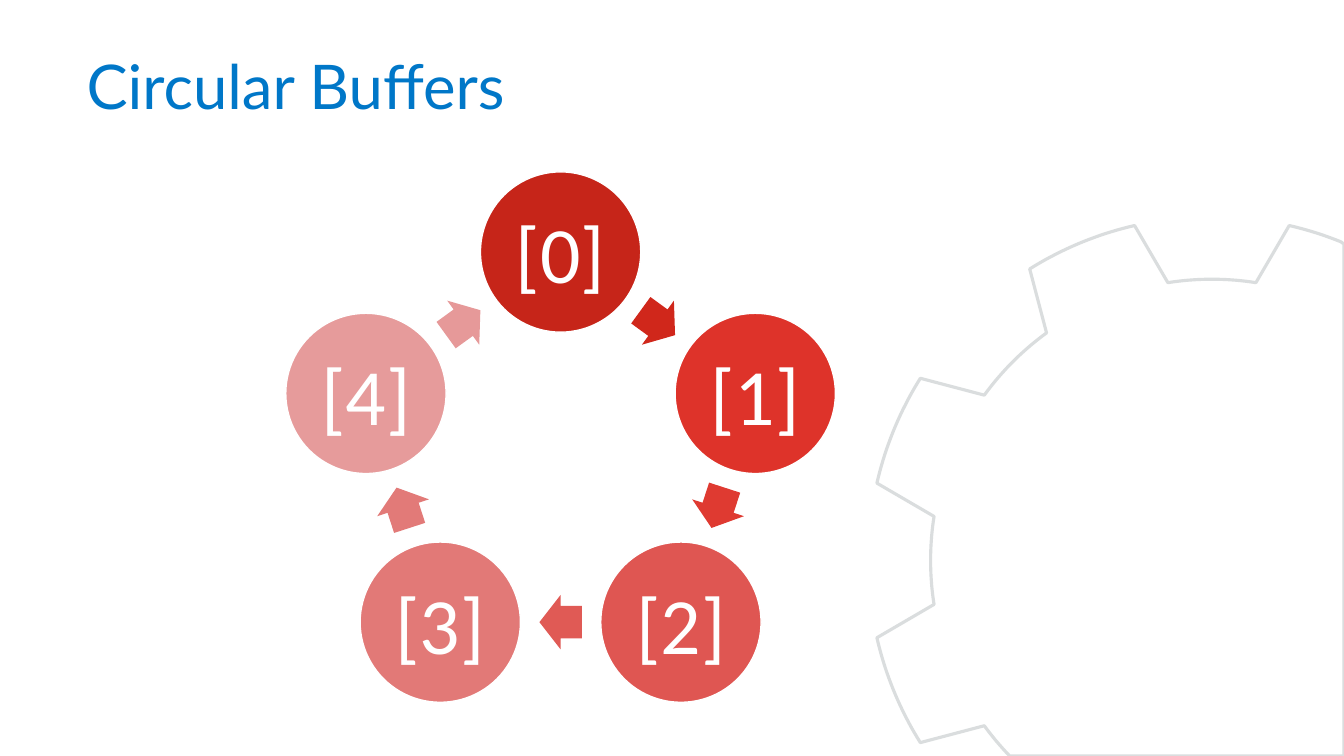
from math import cos, sin, radians
from pptx import Presentation as Deck
from pptx.dml.color import RGBColor as Rgb
from pptx.enum.shapes import MSO_SHAPE as Kind
from pptx.enum.text import MSO_ANCHOR as Anchor, PP_ALIGN as Align
from pptx.util import Inches, Pt

WIDE, HIGH = 13.33, 7.5
COLORS = {"white": "FFFFFF", "title": "0077C8", "gear": "DADDDE"}
STEPS = [
    ("[0]", "C62519", "D0271B"),
    ("[1]", "DE332A", "DF3A31"),
    ("[2]", "DF5652", "E05A55"),
    ("[3]", "E27977", "E27A78"),
    ("[4]", "E69B9B", "E69999"),
]


def polar(mid, radius, turn):
    angle = radians(turn)
    return mid[0] + radius * sin(angle), mid[1] - radius * cos(angle)


class Painter:
    def __init__(self, slide):
        self.shapes = slide.shapes

    def color(self, name):
        return Rgb.from_string(COLORS.get(name, name))

    def paint(self, shape, fill, line=None, width=1):
        shape.shadow.inherit = False
        shape.fill.solid()
        shape.fill.fore_color.rgb = self.color(fill)
        if line:
            shape.line.color.rgb = self.color(line)
            shape.line.width = Pt(width)
        else:
            shape.line.fill.background()

    def label(self, shape, text, font, size, color, align):
        frame = shape.text_frame
        frame.text = text
        frame.vertical_anchor = Anchor.MIDDLE
        par = frame.paragraphs[0]
        par.alignment = align
        style = par.runs[0].font
        style.name, style.size = font, Pt(size)
        style.color.rgb = self.color(color)
        return frame

    def title(self, text, left, top, width, height):
        box = self.shapes.add_textbox(*map(Inches, (left, top, width, height)))
        frame = self.label(box, text, "Lato", 44, "title", Align.LEFT)
        frame.word_wrap = True
        frame.paragraphs[0].line_spacing = 0.9

    def center(self, kind, mid, width, height):
        left, top = mid[0] - width / 2, mid[1] - height / 2
        return self.shapes.add_shape(kind, *map(Inches, (left, top, width, height)))

    def disc(self, mid, size, fill, text):
        shape = self.center(Kind.OVAL, mid, size, size)
        self.paint(shape, fill, "white")
        frame = self.label(shape, text, "Calibri", 57, "white", Align.CENTER)
        frame.word_wrap = False
        frame.margin_left = frame.margin_right = Inches(0.08)
        frame.margin_top = frame.margin_bottom = Inches(0.08)

    def arrow(self, mid, turn, fill):
        shape = self.center(Kind.RIGHT_ARROW, mid, 0.42, 0.54)
        shape.adjustments[0], shape.adjustments[1] = 0.6, 0.5
        shape.rotation = turn
        self.paint(shape, fill)

    def gear(self, mid, root, tip, teeth):
        pitch = 360 / teeth
        points = []
        for tooth in range(teeth):
            start = tooth * pitch
            arcs = [(root, start - 9, start + 9), (tip, start + 13, start + 32)]
            for radius, first, last in arcs:
                for turn in range(int(first), int(last) + 1):
                    x, y = polar(mid, radius, turn)
                    points.append((Inches(min(x, WIDE)), Inches(min(y, HIGH))))
        outline = self.shapes.build_freeform(*points[0])
        outline.add_line_segments(points[1:], close=True)
        self.paint(outline.convert_to_shape(), "white", "gear", 2.25)


def main():
    deck = Deck()
    deck.slide_width, deck.slide_height = Inches(WIDE), Inches(HIGH)
    pen = Painter(deck.slides.add_slide(deck.slide_layouts[6]))
    pen.gear((12.02, 5.56), 2.79, 3.41, 8)
    pen.title("Circular Buffers", 0.76, 0.24, 11.81, 1.3)

    hub, radius = (5.56, 4.53), 2.03
    pitch = 360 / len(STEPS)
    chord = radius * cos(radians(pitch / 2))
    for index, (name, fill, tint) in enumerate(STEPS):
        turn = index * pitch
        half = turn + pitch / 2
        pen.disc(polar(hub, radius, turn), 1.59, fill, name)
        pen.arrow(polar(hub, chord, half), half, tint)
    deck.save("out.pptx")


if __name__ == "__main__":
    main()
